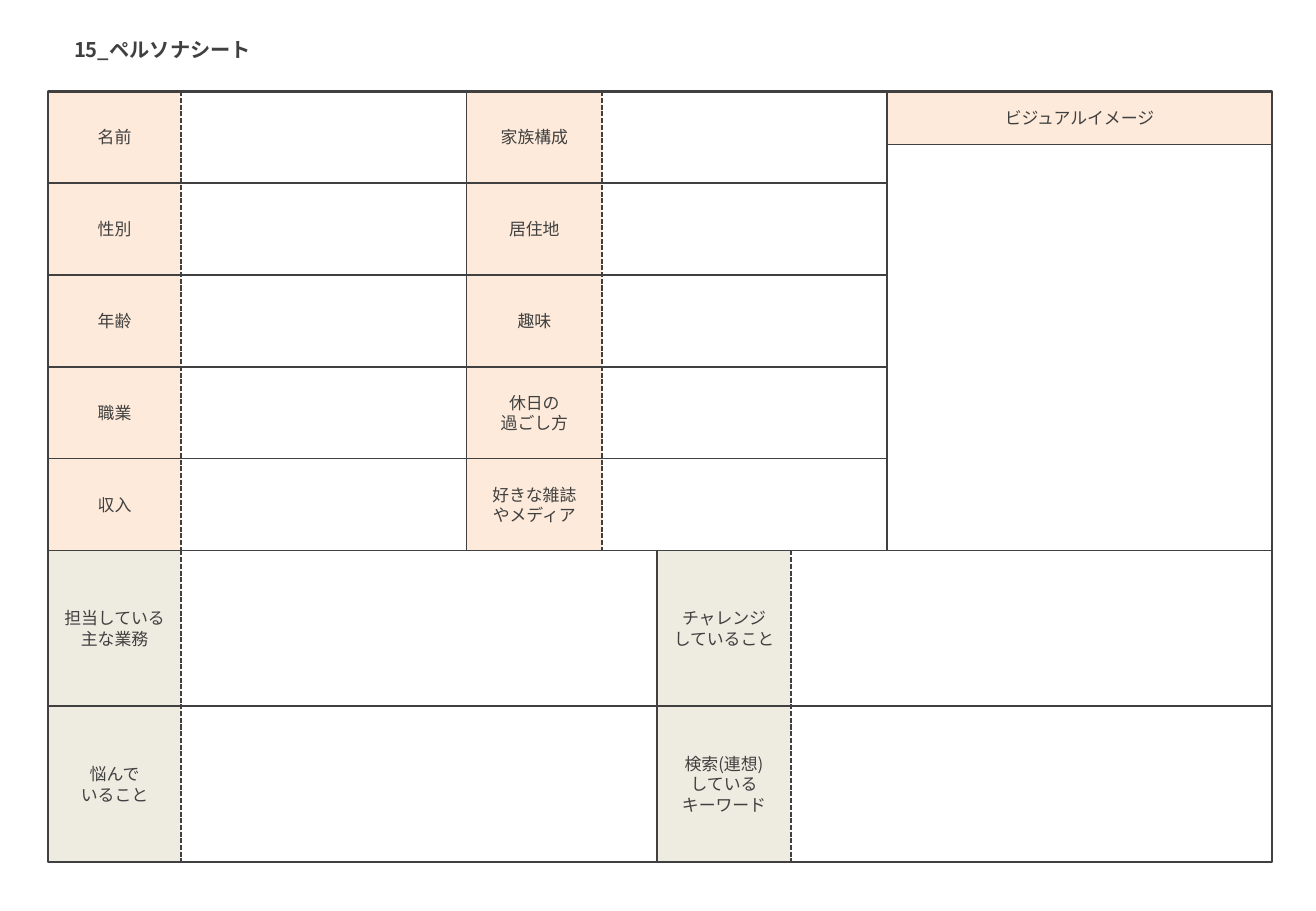
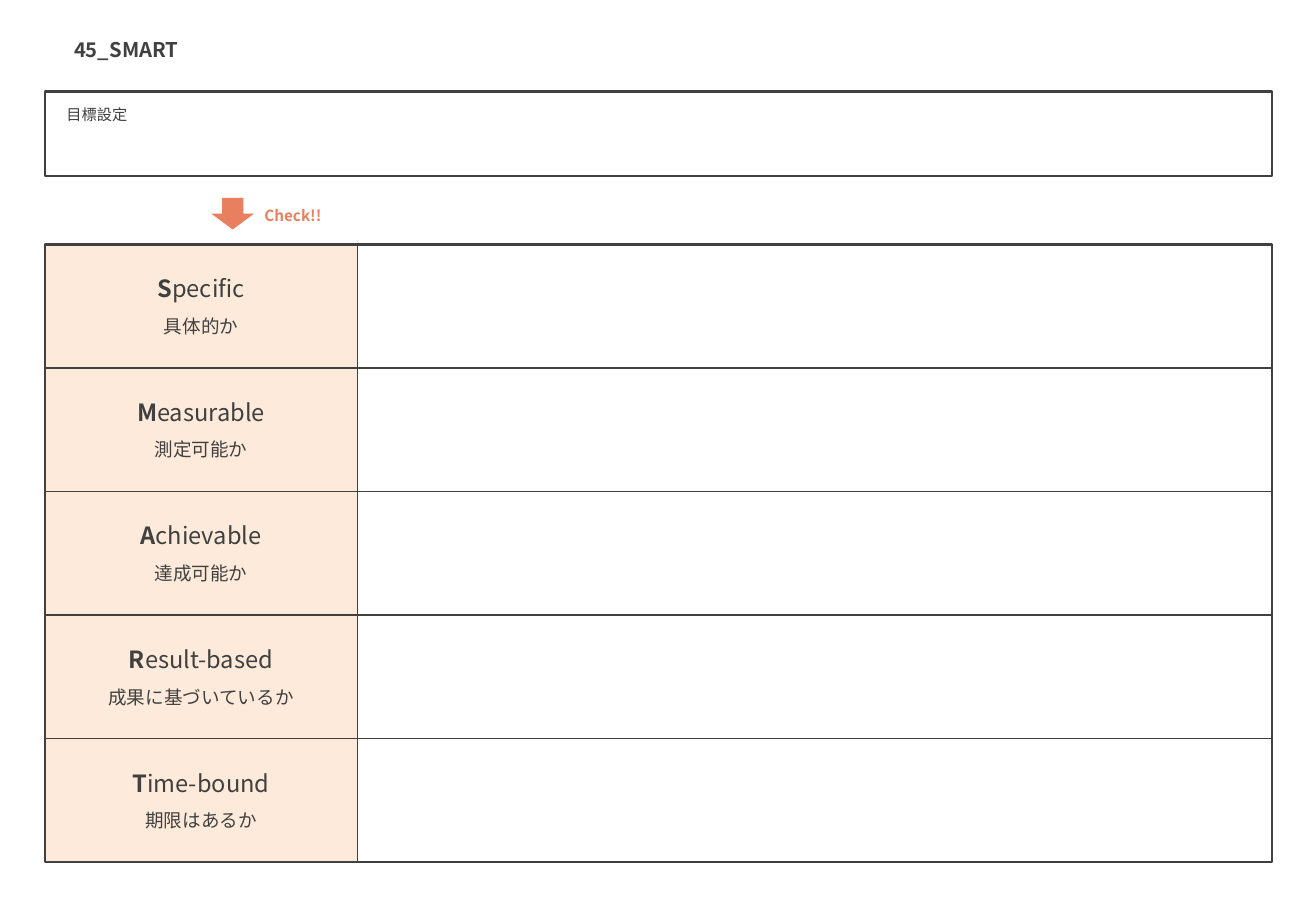
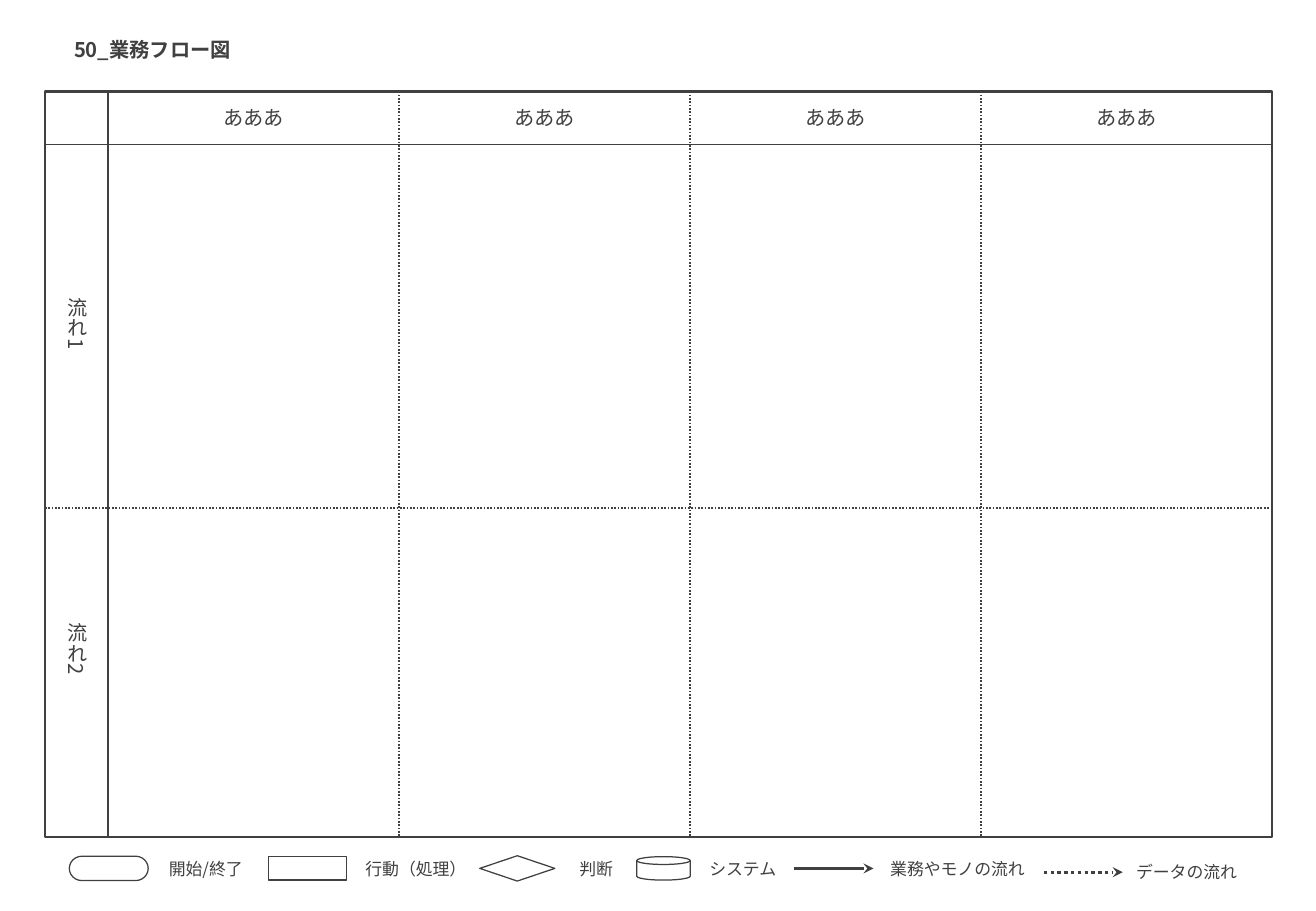
"""Build three business worksheets: persona sheet, SMART check and process flow."""
from lxml.etree import SubElement
from pptx import Presentation
from pptx.dml.color import RGBColor
from pptx.enum.dml import MSO_LINE
from pptx.enum.shapes import MSO_CONNECTOR, MSO_SHAPE
from pptx.enum.text import MSO_ANCHOR, MSO_AUTO_SIZE, PP_ALIGN
from pptx.oxml.ns import qn
from pptx.util import Cm, Pt

FONT = "Noto Sans CJK JP"
INK = RGBColor(0x40, 0x40, 0x40)
PEACH = RGBColor(0xFD, 0xEA, 0xDA)
SAND = RGBColor(0xEE, 0xEC, 0xE1)
CORAL = RGBColor(0xE8, 0x80, 0x5F)
WHITE = RGBColor(0xFF, 0xFF, 0xFF)

LEFT, TOP, RIGHT, BOTTOM = 0.94, 1.91, 26.59, 18.03


def add_box(s, x, y, w, h, fill=None, line=None, shape=MSO_SHAPE.RECTANGLE):
    sp = s.shapes.add_shape(shape, Cm(x), Cm(y), Cm(w), Cm(h))
    sp.shadow.inherit = False
    if fill is None:
        sp.fill.background()
    else:
        sp.fill.solid()
        sp.fill.fore_color.rgb = fill
    if line is None:
        sp.line.fill.background()
    else:
        sp.line.color.rgb = INK
        sp.line.width = Pt(line)


def add_frame(s, y, bottom, x=LEFT):
    add_box(s, x, y, RIGHT - x, bottom - y, line=1.5)


def add_line(s, x1, y1, x2, y2, dash=None, width=1, arrow=False):
    c = s.shapes.add_connector(MSO_CONNECTOR.STRAIGHT, Cm(x1), Cm(y1), Cm(x2), Cm(y2))
    c.line.color.rgb = INK
    c.line.width = Pt(width)
    if dash is not None:
        c.line.dash_style = dash
    spPr = c._element.spPr
    if arrow:
        SubElement(spPr.find(qn("a:ln")), qn("a:tailEnd"), type="stealth")
    SubElement(spPr, qn("a:effectLst"))


def set_font(p, size, color, bold):
    p.font.name = FONT
    p.font.size = Pt(size)
    p.font.color.rgb = color
    p.font.bold = bold
    SubElement(p._p.pPr.find(qn("a:defRPr")), qn("a:ea"), typeface=FONT)


def add_text(s, x, y, w, h, text, size, color=INK, bold=False, wrap=False,
             align=PP_ALIGN.LEFT, anchor=MSO_ANCHOR.TOP):
    sp = s.shapes.add_textbox(Cm(x), Cm(y), Cm(w), Cm(h))
    tf = sp.text_frame
    tf.word_wrap = wrap
    tf.auto_size = MSO_AUTO_SIZE.SHAPE_TO_FIT_TEXT
    tf.vertical_anchor = anchor
    tf.text = text
    for p in tf.paragraphs:
        p.alignment = align
        set_font(p, size, color, bold)
    return tf


def add_label(s, x, w, middle, text, size=10):
    h = 0.29 + 0.47 * len(text.split("\n"))
    add_text(s, x, middle - h / 2, w, h, text, size, wrap=True,
             align=PP_ALIGN.CENTER, anchor=MSO_ANCHOR.MIDDLE)


def add_label_column(s, x, w, y, row_h, labels, fill):
    h = row_h * len(labels)
    add_box(s, x, y, w, h, fill)
    add_line(s, x, y, x, y + h)
    add_line(s, x + w, y, x + w, y + h, MSO_LINE.SQUARE_DOT)
    for i, label in enumerate(labels):
        add_label(s, x, w, y + row_h * (i + 0.5), label)


def add_titled_slide(prs, title):
    s = prs.slides.add_slide(prs.slide_layouts[6])
    add_text(s, 1.3, 0.66, 4.4, 0.76, title, 12, bold=True)
    return s


def build_persona(prs):
    s = add_titled_slide(prs, "15_ペルソナシート")
    left, label_w, row_h, split = 1, 2.79, 1.92, 11.51
    visual_x, visual_w, visual_h = 18.54, 8.05, 1.11
    task_h = (BOTTOM - split) / 2

    add_label_column(s, left, label_w, TOP, row_h,
                     ["名前", "性別", "年齢", "職業", "収入"], PEACH)
    add_label_column(s, 9.75, 2.84, TOP, row_h,
                     ["家族構成", "居住地", "趣味", "休日の\n過ごし方",
                      "好きな雑誌\nやメディア"], PEACH)
    add_label_column(s, left, label_w, split, task_h,
                     ["担当している\n主な業務", "悩んで\nいること"], SAND)
    add_label_column(s, 13.74, label_w, split, task_h,
                     ["チャレンジ\nしていること", "検索(連想)\nしている\nキーワード"], SAND)

    add_box(s, visual_x, TOP, visual_w, visual_h, PEACH)
    add_label(s, visual_x, visual_w, TOP + visual_h / 2, "ビジュアルイメージ")
    add_line(s, visual_x, TOP + visual_h, RIGHT, TOP + visual_h)
    add_line(s, visual_x, TOP, visual_x, split)

    for i in range(1, 5):
        y = TOP + row_h * i
        add_line(s, left, y, visual_x, y)
    for y in (split, split + task_h):
        add_line(s, left, y, RIGHT, y)
    add_frame(s, TOP, BOTTOM, left)


def build_smart(prs):
    s = add_titled_slide(prs, "45_SMART")
    add_text(s, 1.14, 2.08, 1.93, 0.64, "目標設定", 9)
    add_frame(s, TOP, 3.68)
    add_box(s, 4.42, 4.14, 0.89, 0.66, CORAL, shape=MSO_SHAPE.DOWN_ARROW)
    add_text(s, 5.28, 4.19, 1.78, 0.64, "Check!!", 9, CORAL, True)

    criteria = [("Specific", "具体的か"), ("Measurable", "測定可能か"),
                ("Achievable", "達成可能か"), ("Result-based", "成果に基づいているか"),
                ("Time-bound", "期限はあるか")]
    y, panel_w = 5.11, 6.53
    row_h = (BOTTOM - y) / len(criteria)
    add_box(s, LEFT, y, panel_w, BOTTOM - y, PEACH)
    for i, (word, question) in enumerate(criteria):
        row_y = y + row_h * i
        if i:
            add_line(s, LEFT, row_y, RIGHT, row_y)
        tf = add_text(s, LEFT, row_y + 0.5, panel_w, 0.86, "", 14, wrap=True,
                      align=PP_ALIGN.CENTER)
        p = tf.paragraphs[0]
        for part, bold in ((word[0], True), (word[1:], False)):
            r = p.add_run()
            r.text = part
            r.font.bold = bold
        add_text(s, LEFT, row_y + 1.35, panel_w, 0.74, question, 11, wrap=True,
                 align=PP_ALIGN.CENTER)
    add_line(s, LEFT + panel_w, y, LEFT + panel_w, BOTTOM)
    add_frame(s, y, BOTTOM)


def add_legend(s):
    middle, label_h = 18.16, 0.69
    symbols = [(MSO_SHAPE.FLOWCHART_TERMINATOR, 1.45, 1.65, 0.51),
               (MSO_SHAPE.RECTANGLE, 5.61, 1.63, 0.49),
               (MSO_SHAPE.FLOWCHART_DECISION, 10.03, 1.57, 0.53),
               (MSO_SHAPE.FLOWCHART_MAGNETIC_DISK, 13.31, 1.12, 0.49)]
    for shape, x, w, h in symbols:
        add_box(s, x, middle - h / 2, w, h, WHITE, 0.75, shape)

    data_y = middle + 0.08
    add_line(s, 16.59, middle, 18.26, middle, width=2, arrow=True)
    add_line(s, 21.82, data_y, 23.47, data_y, MSO_LINE.ROUND_DOT, 2, True)

    labels = [("開始/終了", 3.28, 2.13, middle), ("行動（処理）", 7.39, 2.64, middle),
              ("判断", 11.86, 1.22, middle), ("システム", 14.58, 1.93, middle),
              ("業務やモノの流れ", 18.36, 3.35, middle),
              ("データの流れ", 23.5, 2.64, data_y)]
    for text, x, w, y in labels:
        add_text(s, x, y - label_h / 2, w, label_h, text, 10, anchor=MSO_ANCHOR.MIDDLE)


def build_flow(prs):
    s = add_titled_slide(prs, "50_業務フロー図")
    head_y, split, bottom = 3.02, 10.62, 17.5
    first_x, columns = 2.26, 4
    col_w = (RIGHT - first_x) / columns

    add_line(s, LEFT, head_y, RIGHT, head_y)
    add_line(s, LEFT, split, RIGHT, split, MSO_LINE.ROUND_DOT)
    for i in range(columns):
        x = first_x + col_w * i
        add_line(s, x, TOP, x, bottom, MSO_LINE.ROUND_DOT if i else None)
        add_label(s, x, col_w, (TOP + head_y) / 2, "あああ", 12)

    flow_w, flow_h = 1.14, 1.68
    for text, middle in (("流れ1", 6.82), ("流れ2", 13.62)):
        tf = add_text(s, (LEFT + first_x - flow_w) / 2, middle - flow_h / 2, flow_w, flow_h,
                      text, 12, align=PP_ALIGN.CENTER, anchor=MSO_ANCHOR.MIDDLE)
        tf._txBody.bodyPr.set("vert", "eaVert")
    add_frame(s, TOP, bottom)
    add_legend(s)


def main():
    prs = Presentation()
    prs.slide_width, prs.slide_height = Cm(27.51), Cm(19.05)
    build_persona(prs)
    build_smart(prs)
    build_flow(prs)
    prs.save("out.pptx")


if __name__ == "__main__":
    main()
